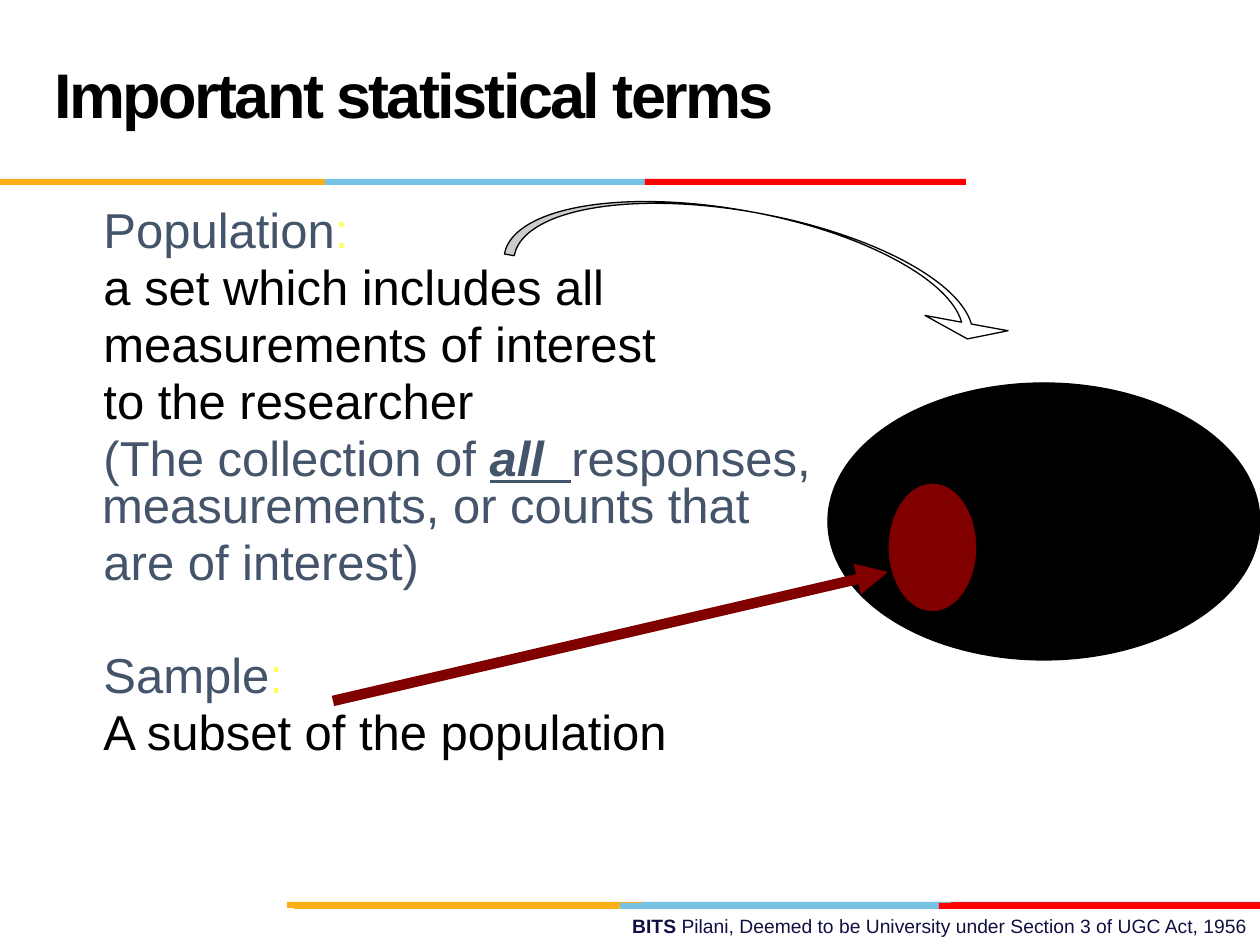
from dataclasses import dataclass

from lxml import etree
from pptx import Presentation
from pptx import util as u
from pptx.dml.color import RGBColor
from pptx.enum import shapes, text
from pptx.oxml.ns import qn

PX = 914400 // 126
FONT = "Arial"
GOLD, SKY, RED = "FCB017", "76C2E5", "FF0000"
BLACK, SLATE, LEMON, MAROON = "000000", "44546A", "FFFF66", "800000"
NAVY, WHITE = "101141", "FFFFFF"
KIND = shapes.MSO_SHAPE


@dataclass
class Bar:
    left: int
    top: int
    width: int
    fill: str


@dataclass
class Run:
    words: str
    color: str = BLACK
    bold: bool = False
    slant: bool = False
    under: bool = False


BARS = [
    Bar(638, 902, 321, SKY), Bar(951, 902, 309, "E31C24"), Bar(287, 902, 355, GOLD),
    Bar(620, 903, 321, SKY), Bar(294, 903, 325, GOLD), Bar(939, 903, 321, RED),
    Bar(325, 179, 321, SKY), Bar(0, 179, 325, GOLD), Bar(645, 179, 321, RED),
]

# Each paragraph: space before in points, then its runs
GAP = 5.6
BODY = [
    (0, [Run("Population", SLATE), Run(":", LEMON)]),
    (GAP, [Run("a set which includes all")]),
    (GAP, [Run("measurements of interest")]),
    (GAP, [Run("to the researcher")]),
    (GAP, [Run("(The collection of ", SLATE),
           Run("all ", SLATE, True, True, True),
           Run(" ", SLATE, False, True, True),
           Run("responses, measurements, or counts that", SLATE)]),
    (GAP, [Run("are of interest)", SLATE)]),
    (38, [Run("Sample", SLATE), Run(":", LEMON)]),
    (GAP, [Run("A subset of the population")]),
]
FOOT = [Run("BITS ", NAVY, True),
        Run("Pilani, Deemed to be University under Section 3 of UGC Act, 1956", NAVY)]


def rgb(code: str) -> RGBColor:
    return RGBColor.from_string(code)


def box(*sides: int) -> list[u.Emu]:
    return [u.Emu(side * PX) for side in sides]


def draw(slide, kind, place: tuple, fill: str, line: str = ""):
    shape = slide.shapes.add_shape(kind, *box(*place))
    shape.shadow.inherit = False
    shape.fill.solid()
    shape.fill.fore_color.rgb = rgb(fill)
    if line:
        shape.line.color.rgb = rgb(line)
        shape.line.width = u.Pt(0.75)
    else:
        shape.line.fill.background()
    return shape


def write(para, runs: list[Run], size: int) -> None:
    para.font.name, para.font.size = FONT, u.Pt(size)
    for item in runs:
        run = para.add_run()
        run.text = item.words
        font = run.font
        font.color.rgb = rgb(item.color)
        font.bold, font.italic, font.underline = item.bold, item.slant, item.under


def add_title(slide) -> None:
    title = slide.shapes.title
    title.left, title.top, title.width, title.height = box(42, 21, 872, 158)
    frame = title.text_frame
    frame.auto_size = text.MSO_AUTO_SIZE.NONE
    frame.vertical_anchor = text.MSO_ANCHOR.MIDDLE
    para = frame.paragraphs[0]
    para.alignment = text.PP_ALIGN.LEFT
    para.line_spacing = u.Pt(36)
    write(para, [Run("Important statistical terms", bold=True)], 36)
    para.runs[0].font._element.set("spc", "-150")


def add_body(slide) -> None:
    frame = slide.shapes.add_textbox(*box(42, 205, 786, 624)).text_frame
    frame.word_wrap = True
    for index, (before, runs) in enumerate(BODY):
        para = frame.add_paragraph() if index else frame.paragraphs[0]
        props = para._p.get_or_add_pPr()
        props.set("marL", str(u.Inches(0.38)))
        props.set("indent", str(u.Inches(0.01)))
        para.line_spacing = 0.8
        para.space_before = u.Pt(before)
        write(para, runs, 28)


def add_foot(slide) -> None:
    frame = slide.shapes.add_textbox(*box(451, 908, 809, 37)).text_frame
    frame.word_wrap = True
    para = frame.paragraphs[0]
    para.alignment = text.PP_ALIGN.RIGHT
    write(para, FOOT, 11)


def add_arrow(slide, ends: tuple, color: str, width: int) -> None:
    arrow = slide.shapes.add_connector(shapes.MSO_CONNECTOR.STRAIGHT, *box(*ends))
    arrow.line.color.rgb = rgb(color)
    arrow.line.width = u.Pt(width)
    etree.SubElement(arrow.line._get_or_add_ln(), qn("a:tailEnd"), type="triangle")
    etree.SubElement(arrow._element.spPr, qn("a:effectLst"))


def main() -> None:
    deck = Presentation()
    deck.slide_width, deck.slide_height = u.Inches(10), u.Inches(7.5)
    slide = deck.slides.add_slide(deck.slide_layouts[5])
    add_foot(slide)
    for bar in BARS:
        draw(slide, KIND.RECTANGLE, (bar.left, bar.top, bar.width, 6), bar.fill)
    add_body(slide)
    add_title(slide)
    draw(slide, KIND.OVAL, (828, 383, 432, 277), BLACK, BLACK)
    add_arrow(slide, (333, 701, 888, 572), MAROON, 6)
    curve = draw(slide, KIND.CURVED_DOWN_ARROW, (508, 215, 513, 86), WHITE, BLACK)
    curve.rotation = 10.4
    for index, value in enumerate((0.116, 0.982, 0.179)):
        curve.adjustments[index] = value
    draw(slide, KIND.OVAL, (888, 483, 89, 129), MAROON, BLACK)
    deck.save("out.pptx")


if __name__ == "__main__":
    main()
